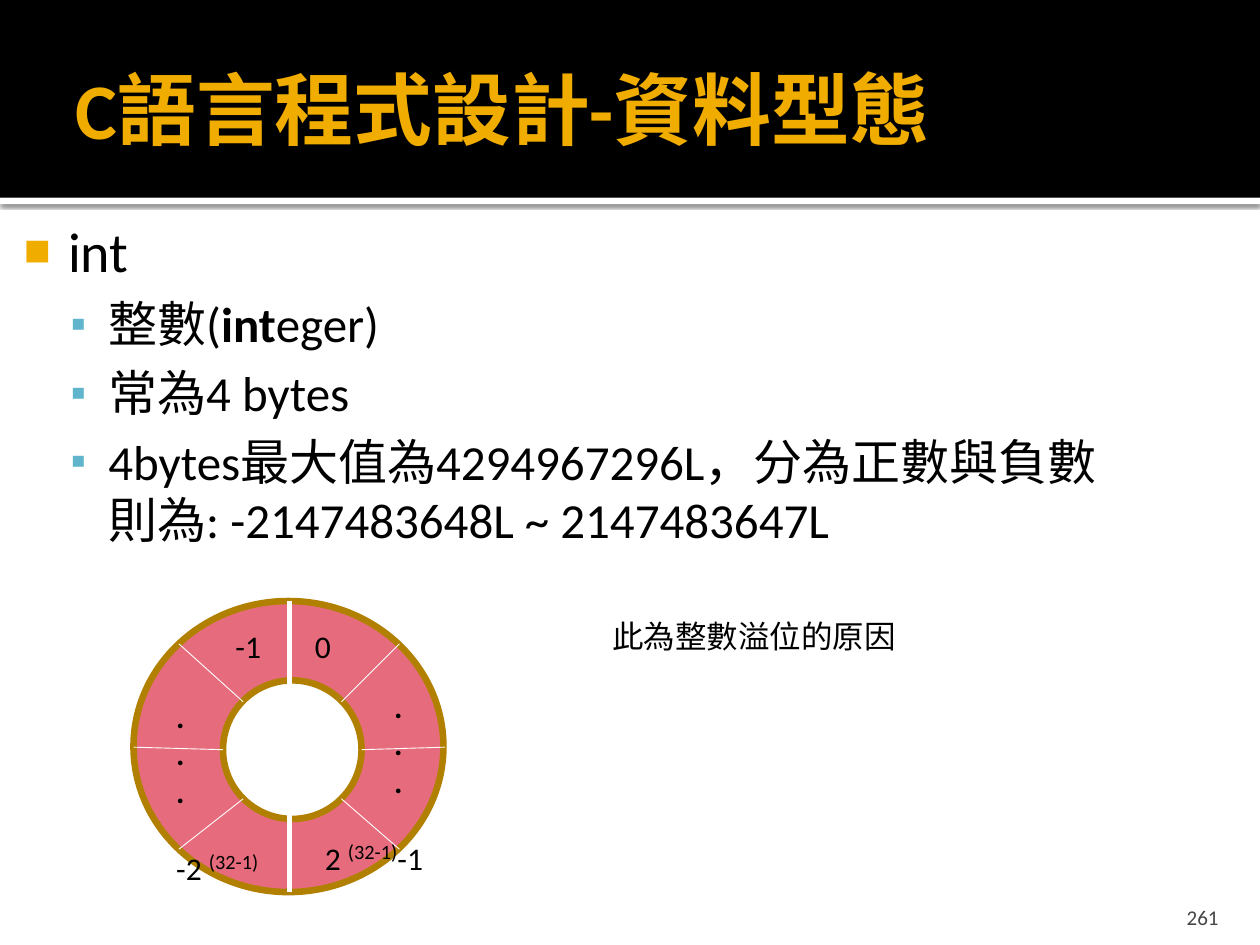
from dataclasses import dataclass

import lxml.etree
import pptx
import pptx.dml.color
import pptx.enum.shapes
import pptx.enum.text
import pptx.oxml.ns
import pptx.util
from pptx.util import Inches


@dataclass(frozen=True)
class Theme:
    font: str = "Calibri"
    black: str = "000000"
    white: str = "FFFFFF"
    accent: str = "F0AD00"
    bullet: str = "60B5CC"
    ring: str = "E66C7D"
    outline: str = "B28000"
    gray: str = "454545"
    title_size: int = 45
    heading_size: int = 32
    item_size: int = 28
    label_size: int = 18
    exponent_size: int = 20
    number_size: int = 12


theme = Theme()
qn = pptx.oxml.ns.qn
color = pptx.dml.color.RGBColor.from_string
alignment = pptx.enum.text.PP_ALIGN
anchor = pptx.enum.text.MSO_ANCHOR
shape_type = pptx.enum.shapes.MSO_SHAPE


def set_font(paragraph, size, ink=theme.black, bold=False):
    paragraph.font.name = theme.font
    paragraph.font.size = pptx.util.Pt(size)
    paragraph.font.color.rgb = color(ink)
    paragraph.font.bold = bold


def add_shape(kind, left, top, width, height, fill, outline=None):
    shape = slide.shapes.add_shape(kind, Inches(left), Inches(top), Inches(width), Inches(height))
    shape.shadow.inherit = False
    shape.fill.solid()
    shape.fill.fore_color.rgb = color(fill)
    if outline:
        shape.line.color.rgb = color(outline)
        shape.line.width = pptx.util.Pt(3.78)
    else:
        shape.line.fill.background()
    return shape


presentation = pptx.Presentation()
presentation.slide_width = Inches(10)
presentation.slide_height = Inches(7.5)
slide = presentation.slides.add_slide(presentation.slide_layouts[1])
title = slide.shapes.title
body = slide.placeholders[1]

rule = add_shape(shape_type.RECTANGLE, 0, 1.57, 10, 0.05, theme.white)
shadow = lxml.etree.SubElement(
    rule.element.spPr.find(qn("a:effectLst")), qn("a:outerShdw"),
    blurRad=str(pptx.util.Pt(2.5)), dist=str(pptx.util.Pt(0.8)), dir="5400000", rotWithShape="0")
shadow_color = lxml.etree.SubElement(shadow, qn("a:srgbClr"), val=theme.black)
lxml.etree.SubElement(shadow_color, qn("a:alpha"), val="60000")
banner = add_shape(shape_type.RECTANGLE, 0, 0, 10, 1.57, theme.black)
for shape in (rule, banner):
    title.element.addprevious(shape.element)

for placeholder, box, insets, vertical in (
    (title, (0.5, 0.17, 9, 1.37), (0.1, 0.05, 0.05, 0.05), anchor.MIDDLE),
    (body, (0, 1.62, 9, 5.06), (0.06, 0.1, 0.1, 0.05), anchor.TOP),
):
    placeholder.left, placeholder.top, placeholder.width, placeholder.height = map(Inches, box)
    frame = placeholder.text_frame
    frame.margin_left, frame.margin_top, frame.margin_right, frame.margin_bottom = map(Inches, insets)
    frame.vertical_anchor = vertical
    frame.auto_size = pptx.enum.text.MSO_AUTO_SIZE.NONE
    frame.word_wrap = True

title.text_frame.text = "C語言程式設計-資料型態"
title.text_frame.paragraphs[0].alignment = alignment.LEFT
set_font(title.text_frame.paragraphs[0], theme.title_size, theme.accent, True)

levels = (
    (0.48, -0.35, "■", theme.accent, 80, theme.heading_size, 0),
    (0.8, -0.3, "▪", theme.bullet, 90, theme.item_size, 5.6),
)
items = (
    (0, ["int"]),
    (1, ["整數(", "int", "eger)"]),
    (1, ["常為4 bytes"]),
    (1, ["4bytes最大值為4294967296L，分為正數與負數則為: -2147483648L ~ 2147483647L"]),
)
for index, (level, texts) in enumerate(items):
    frame = body.text_frame
    paragraph = frame.add_paragraph() if index else frame.paragraphs[0]
    margin, indent, mark, mark_color, mark_size, size, gap = levels[level]
    paragraph.level = level
    paragraph.space_before = pptx.util.Pt(gap)
    properties = paragraph._p.get_or_add_pPr()
    properties.set("marL", str(Inches(margin)))
    properties.set("indent", str(Inches(indent)))
    bullet_color = lxml.etree.SubElement(properties, qn("a:buClr"))
    lxml.etree.SubElement(bullet_color, qn("a:srgbClr"), val=mark_color)
    lxml.etree.SubElement(properties, qn("a:buSzPct"), val=str(mark_size * 1000))
    lxml.etree.SubElement(properties, qn("a:buChar"), char=mark)
    set_font(paragraph, size)
    for position, text in enumerate(texts):
        run = paragraph.add_run()
        run.text = text
        if position == 1:
            run.font.bold = True

add_shape(shape_type.OVAL, 1.06, 4.77, 2.46, 2.31, theme.ring, theme.outline)
add_shape(shape_type.OVAL, 1.77, 5.4, 1.1, 1.1, theme.white, theme.outline)

dividers = (
    (2.3, 4.77, 2.3, 7.08, 3),
    (2.71, 5.57, 3.17, 5.11, 0.5),
    (2.87, 5.95, 3.53, 5.93, 0.5),
    (2.71, 6.34, 3.17, 6.74, 0.5),
    (1.93, 6.34, 1.42, 6.74, 0.5),
    (1.77, 5.95, 1.06, 5.93, 0.5),
    (1.93, 5.57, 1.42, 5.11, 0.5),
)
for *ends, weight in dividers:
    divider = slide.shapes.add_connector(pptx.enum.shapes.MSO_CONNECTOR.STRAIGHT, *map(Inches, ends))
    divider.line.color.rgb = color(theme.white)
    divider.line.width = pptx.util.Pt(weight)
    lxml.etree.SubElement(divider.element.spPr, qn("a:effectLst"))

labels = (
    ((2.4, 4.93, 0.33, 0.4), [["0"]], False),
    ((2.48, 6.58, 1.02, 0.4), [["2 ", "(32-1)", "-1"]], False),
    ((1.3, 6.66, 0.9, 0.44), [["-2 ", "(32-1)"]], False),
    ((1.77, 4.93, 0.4, 0.4), [["-1"]], False),
    ((3.03, 5.4, 0.33, 1.01), [["."]] * 3, True),
    ((1.3, 5.48, 0.33, 1.01), [["."]] * 3, True),
    ((4.76, 4.85, 2.47, 0.4), [["此為整數溢位的原因"]], False),
)
for box, lines, dots in labels:
    frame = slide.shapes.add_textbox(*map(Inches, box)).text_frame
    frame.word_wrap = dots
    frame.auto_size = pptx.enum.text.MSO_AUTO_SIZE.SHAPE_TO_FIT_TEXT
    for index, texts in enumerate(lines):
        paragraph = frame.add_paragraph() if index else frame.paragraphs[0]
        set_font(paragraph, theme.label_size, bold=dots)
        for text in texts:
            run = paragraph.add_run()
            run.text = text
            if text == "(32-1)":
                run.font.size = pptx.util.Pt(theme.exponent_size)
                run._r.get_or_add_rPr().set("baseline", "30000")

frame = slide.shapes.add_textbox(Inches(8.97), Inches(7.08), Inches(0.8), Inches(0.3)).text_frame
frame.word_wrap = True
frame.margin_bottom = 0
frame.vertical_anchor = anchor.BOTTOM
frame.text = "261"
frame.paragraphs[0].alignment = alignment.RIGHT
set_font(frame.paragraphs[0], theme.number_size, theme.gray)

presentation.save("out.pptx")
